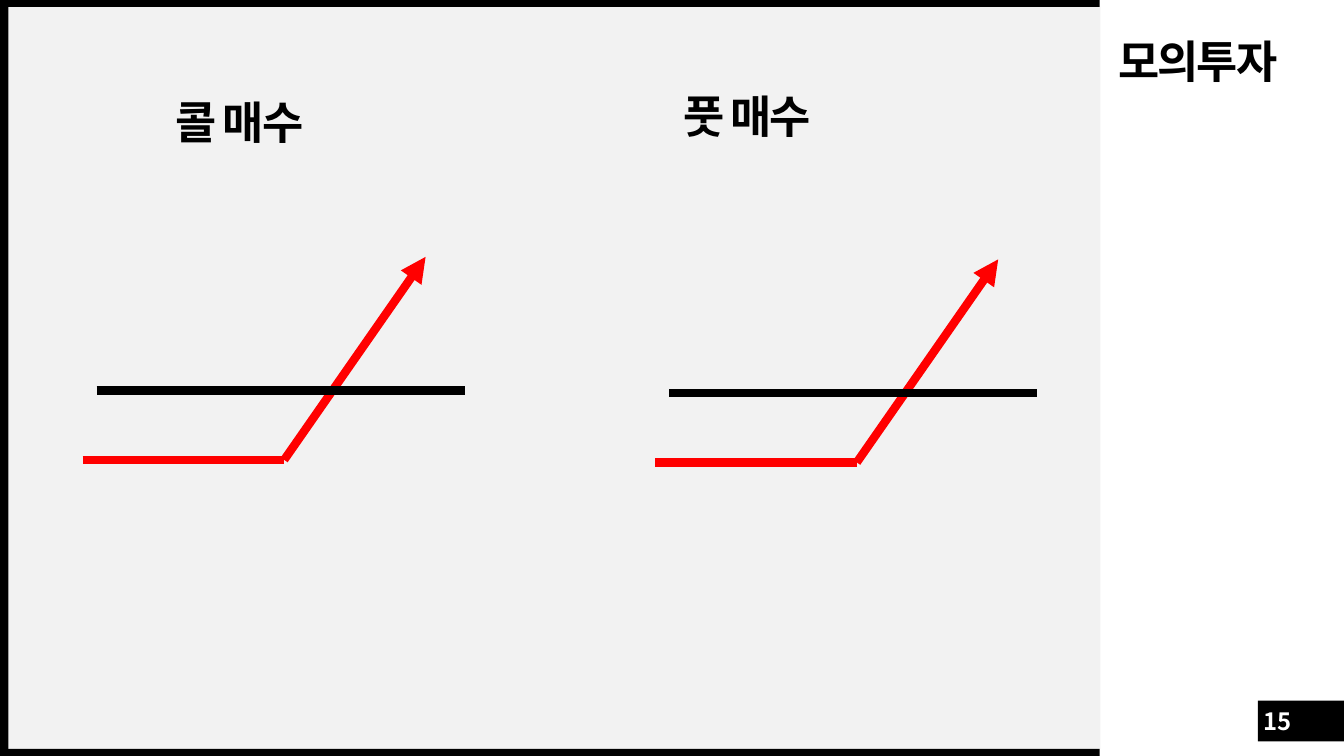
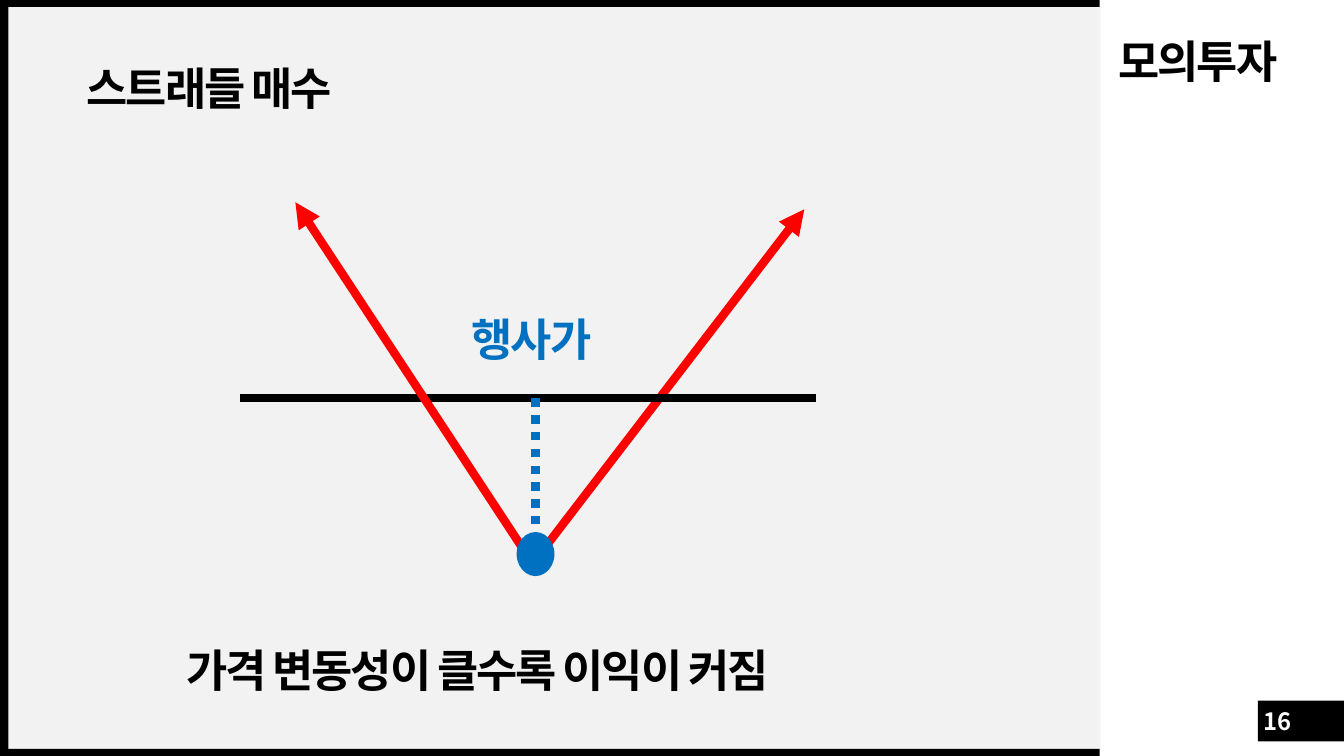
import lxml.etree
import pptx
import pptx.dml.color
import pptx.enum.dml
import pptx.enum.shapes
import pptx.enum.text
import pptx.oxml.ns
import pptx.util

Pt = pptx.util.Pt
qn = pptx.oxml.ns.qn
rgb = pptx.dml.color.RGBColor.from_string
RECTANGLE = pptx.enum.shapes.MSO_SHAPE.RECTANGLE
OVAL = pptx.enum.shapes.MSO_SHAPE.OVAL

FONT = "Noto Sans CJK KR"
BLACK, WHITE, GREY = "000000", "FFFFFF", "F2F2F2"
RED, BLUE = "FF0000", "0070C0"
FRAME = [
    (6, 5, 780, 530, GREY),
    (898.5, 500.5, 61.5, 29, BLACK),
    (0, 535, 785.5, 5, BLACK),
    (0, 0, 785.5, 5, BLACK),
    (0, 0, 6, 540, BLACK),
]


def write(slide, text, left, top, width, height, colour=BLACK, size=32, spacing=-150):
    frame = slide.shapes.add_textbox(Pt(left), Pt(top), Pt(width), Pt(height)).text_frame
    frame.word_wrap = True
    frame.margin_left = frame.margin_right = frame.margin_top = frame.margin_bottom = 0
    frame.vertical_anchor = pptx.enum.text.MSO_ANCHOR.MIDDLE
    frame.text = text
    paragraph = frame.paragraphs[0]
    paragraph.line_spacing = 0.9
    run = paragraph.runs[0]
    run.font.size = Pt(size)
    run.font.bold = True
    run.font.name = FONT
    run.font.color.rgb = rgb(colour)
    properties = run.font._element
    properties.set("spc", str(spacing))
    lxml.etree.SubElement(properties, qn("a:ea")).set("typeface", FONT)
    return paragraph


def draw_line(slide, start, end, colour, arrow=False):
    line = slide.shapes.add_connector(
        pptx.enum.shapes.MSO_CONNECTOR.STRAIGHT, *(Pt(value) for value in start + end))
    line.line.color.rgb = rgb(colour)
    line.line.width = Pt(6)
    if arrow:
        tail = lxml.etree.SubElement(line.line._get_or_add_ln(), qn("a:tailEnd"))
        tail.set("type", "triangle")
    lxml.etree.SubElement(line._element.spPr, qn("a:effectLst"))
    return line


deck = pptx.Presentation()
deck.slide_width, deck.slide_height = Pt(960), Pt(540)

slides = []
for number in (15, 16):
    slide = deck.slides.add_slide(deck.slide_layouts[6])
    for left, top, width, height, colour in FRAME:
        band = slide.shapes.add_shape(RECTANGLE, Pt(left), Pt(top), Pt(width), Pt(height))
        band.shadow.inherit = False
        band.fill.solid()
        band.fill.fore_color.rgb = rgb(colour)
        band.line.fill.background()
    write(slide, "모의투자", 799, 29, 132, 34)
    page = write(slide, str(number), 901.5, 504, 21.5, 21.5, WHITE, 17, 0)
    page.alignment = pptx.enum.text.PP_ALIGN.CENTER
    page.line_spacing = 1.0
    slides.append(slide)
options, straddle = slides

for heading, heading_left, heading_top, x, y in [
    ("콜 매수", 125.5, 72.5, 59, 328.5),
    ("풋 매수", 488, 68, 468, 330.3),
]:
    write(options, heading, heading_left, heading_top, 132, 34)
    draw_line(options, (x + 144, y), (x + 245, y - 145), RED, arrow=True)
    draw_line(options, (x + 10, y - 49.5), (x + 273, y - 49.5), BLACK)
    draw_line(options, (x, y), (x + 144, y), RED)

write(straddle, "스트래들 매수", 62, 45, 315, 40)
draw_line(straddle, (384, 398), (574.5, 149.5), RED, arrow=True)
draw_line(straddle, (171.5, 284.5), (583, 284.5), BLACK)
draw_line(straddle, (377.5, 398), (211, 144.5), RED, arrow=True)
write(straddle, "가격 변동성이 클수록 이익이 커짐", 133, 448.5, 569, 64)

strike = straddle.shapes.add_shape(OVAL, Pt(369), Pt(380), Pt(27), Pt(31.5))
strike.shadow.inherit = False
strike.fill.solid()
strike.fill.fore_color.rgb = rgb(BLUE)
strike.line.fill.background()
write(straddle, "행사가", 337, 224.5, 118, 40, BLUE)
strike_drop = draw_line(straddle, (382.5, 284.5), (382.5, 380), BLUE)
strike_drop.line.dash_style = pptx.enum.dml.MSO_LINE.ROUND_DOT
strike_drop.end_connect(strike, 0)

deck.save("out.pptx")
